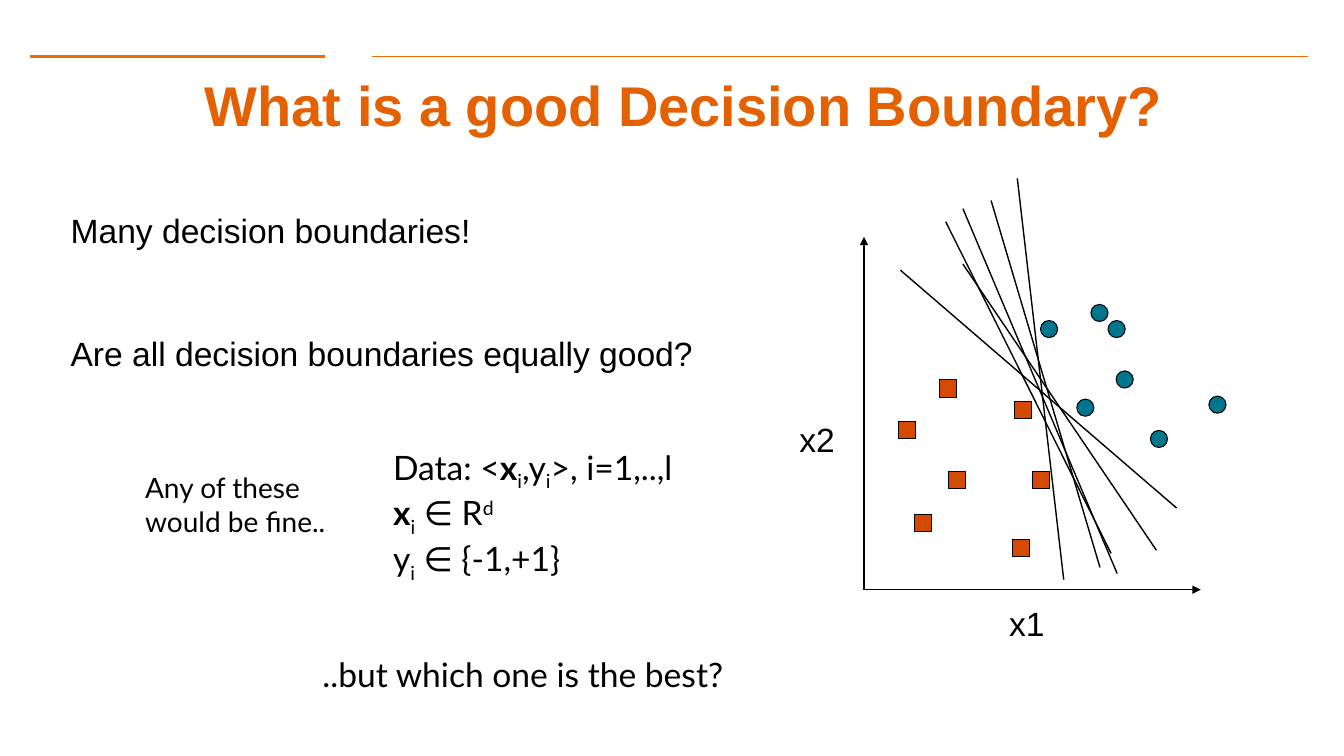
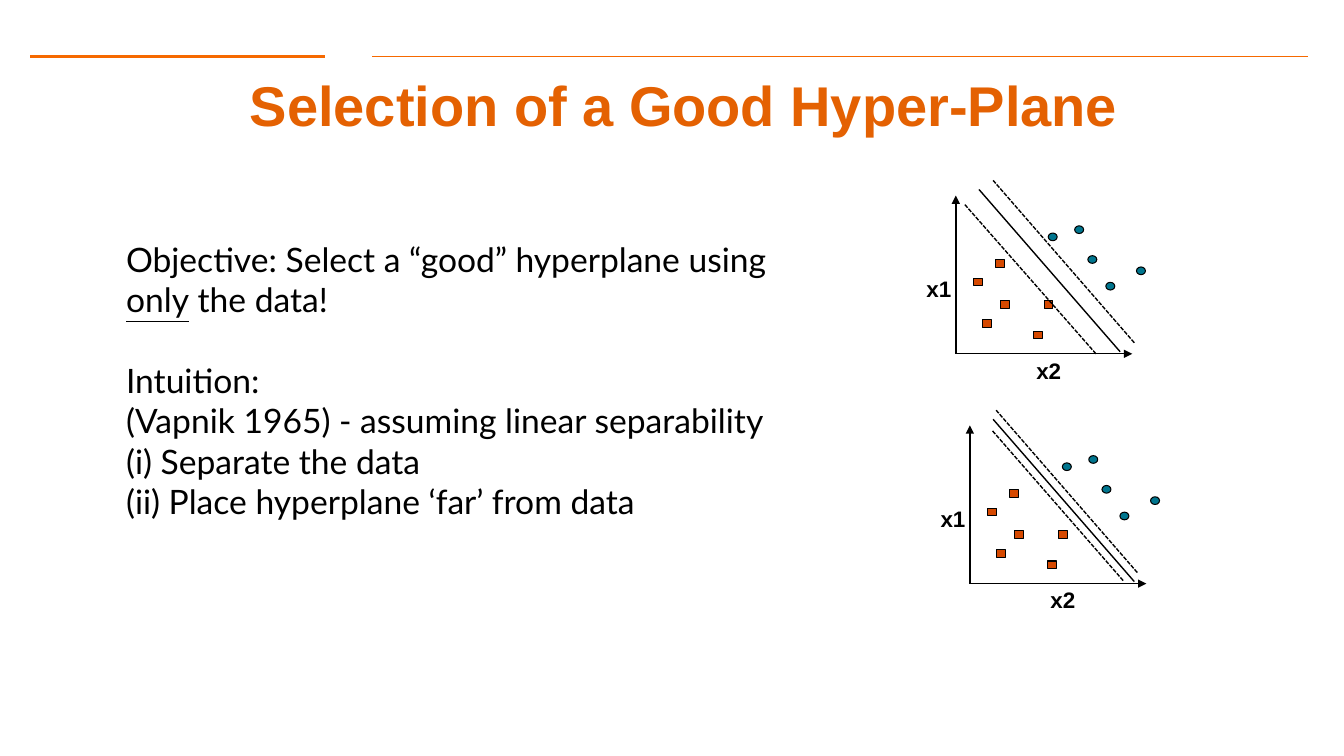
from lxml.etree import SubElement
from pptx import Presentation
from pptx.dml.color import RGBColor
from pptx.enum.dml import MSO_LINE
from pptx.enum.shapes import MSO_CONNECTOR, MSO_SHAPE
from pptx.enum.text import MSO_ANCHOR, MSO_AUTO_SIZE, PP_ALIGN
from pptx.oxml.ns import qn
from pptx.util import Inches, Pt

BLACK = "000000"
TITLE_ORANGE = "E46102"
BAND_ORANGE = "F66900"
CIRCLE_TEAL = "00758E"
SQUARE_RED = "D64900"

SAMPLE_AXES = (3.34, 3.5)
MARKER_SIZE = 0.17
CIRCLES = [(3.42, 1.58), (2.84, 1.92), (2.5, 1.33), (2.25, 0.67), (1.75, 0.83)]
SQUARES = [(0.34, 1.83), (1.67, 2.33), (1.47, 3), (0.84, 2.33), (0.5, 2.75), (0.75, 1.42)]
EXTRA_CIRCLES = [(2.42, 0.83), (2.11, 1.61)]
EXTRA_SQUARES = [(1.49, 1.63)]

BOLD = {"bold": True}
SUB = {"baseline": -25}
SUPER = {"baseline": 30}


def rgb(code):
    return RGBColor.from_string(code)


def place(shape, box):
    shape.left, shape.top, shape.width, shape.height = map(Inches, box)


def write(frame, paragraphs, size=24, font="Lato", color=BLACK, bold=False,
          align=PP_ALIGN.LEFT, anchor=MSO_ANCHOR.TOP, inset=None, gaps=None):
    frame.word_wrap = True
    frame.auto_size = MSO_AUTO_SIZE.NONE
    frame.vertical_anchor = anchor
    if inset is not None:
        frame.margin_left = frame.margin_right = Inches(inset)
        frame.margin_top = frame.margin_bottom = Inches(inset)
    for index, runs in enumerate(paragraphs):
        paragraph = frame.add_paragraph() if index else frame.paragraphs[0]
        paragraph.alignment = align
        paragraph.space_before = Pt((gaps or {}).get(index, 0))
        properties = paragraph._p.get_or_add_pPr()
        properties.set("marL", "0")
        properties.set("indent", "0")
        SubElement(properties, qn("a:buNone"))
        for part in [runs] if isinstance(runs, str) else runs:
            words, style = (part, {}) if isinstance(part, str) else part
            run = paragraph.add_run()
            run.text = words
            run.font.name = font
            run.font.size = Pt(size)
            run.font.color.rgb = rgb(color)
            run.font.bold = style.get("bold", bold)
            if "underline" in style:
                run.font.underline = style["underline"]
            if "baseline" in style:
                run._r.get_or_add_rPr().set("baseline", str(style["baseline"] * 1000))


def add_note(slide, box, paragraphs, **style):
    note = slide.shapes.add_textbox(*map(Inches, box))
    write(note.text_frame, paragraphs, **style)


def add_line(slide, start, end, color=BLACK, width=1, dashed=False, arrow=False):
    line = slide.shapes.add_connector(MSO_CONNECTOR.STRAIGHT, *map(Inches, (*start, *end)))
    line.line.color.rgb = rgb(color)
    line.line.width = Pt(width)
    if dashed:
        line.line.dash_style = MSO_LINE.SQUARE_DOT
    if arrow:
        SubElement(line.line._get_or_add_ln(), qn("a:tailEnd"), type="triangle")
    SubElement(line.element.spPr, qn("a:effectLst"))
    return line


def add_marker(slide, kind, box, color):
    marker = slide.shapes.add_shape(kind, *map(Inches, box))
    marker.shadow.inherit = False
    marker.fill.solid()
    marker.fill.fore_color.rgb = rgb(color)
    marker.line.color.rgb = rgb(BLACK)
    marker.line.width = Pt(0.75)


def add_plot(slide, box, circles, squares, boundaries, labels, label_box, **label_style):
    left, top, width, height = box
    origin = (left, top + height)
    add_line(slide, origin, (left, top), arrow=True)
    add_line(slide, origin, (left + width, top + height), arrow=True)
    x_scale, y_scale = width / SAMPLE_AXES[0], height / SAMPLE_AXES[1]
    for kind, color, points in ((MSO_SHAPE.OVAL, CIRCLE_TEAL, circles),
                                (MSO_SHAPE.RECTANGLE, SQUARE_RED, squares)):
        for x, y in points:
            add_marker(slide, kind, (left + x * x_scale, top + y * y_scale,
                                     MARKER_SIZE * x_scale, MARKER_SIZE * y_scale), color)
    for x1, y1, x2, y2, dashed in boundaries:
        add_line(slide, (left + x1, top + y1), (left + x2, top + y2), dashed=dashed)
    for name, x, y in labels:
        add_note(slide, (left + x, top + y, *label_box), [name], font="Arial", **label_style)


def add_bands(layout, slide):
    for start, end, width in ((0.3, 3.22, 2), (3.69, 12.97, 1)):
        band = add_line(slide, (start, 0.56), (end, 0.56), BAND_ORANGE, width)
        layout.shapes.element.append(band.element)


def new_slide(deck, layout, title):
    slide = deck.slides.add_slide(layout)
    heading = slide.shapes.title
    place(heading, (0.78, 0.76, 12, 0.55))
    write(heading.text_frame, [title], size=40, font="Arial", color=TITLE_ORANGE, bold=True,
          align=PP_ALIGN.CENTER, anchor=MSO_ANCHOR.MIDDLE, inset=0.13)
    return slide


def add_body(slide, box, paragraphs, **style):
    body = slide.placeholders[1]
    place(body, box)
    write(body.text_frame, paragraphs, **style)


def build_boundary_slide(deck, layout):
    slide = new_slide(deck, layout, "What is a good Decision Boundary?")
    add_body(slide, (0.57, 1.95, 7.69, 1.92),
             ["Many decision boundaries!", "Are all decision boundaries equally good?"],
             font="Arial", inset=0.13, gaps={1: 59})
    boundaries = [(3.1, 2.69, 0.36, 0.33, False), (1.98, 3.4, 1.52, -0.58, False),
                  (2.51, 3.34, 0.98, -0.28, False), (2.45, 3.14, 0.81, -0.15, False),
                  (2.9, 3.11, 0.98, 0.27, False), (2.34, 3.28, 1.26, -0.36, False)]
    add_plot(slide, (8.57, 2.35, *SAMPLE_AXES), CIRCLES + EXTRA_CIRCLES,
             SQUARES + EXTRA_SQUARES, boundaries,
             [("x2", -0.74, 1.76), ("x1", 1.34, 3.58)], (0.66, 0.5))
    add_note(slide, (1.34, 4.62, 2.51, 0.77), ["Any of these would be fine.."], size=20)
    add_note(slide, (3.8, 4.38, 3.35, 1.78), [
        ["Data: <", ("x", BOLD), ("i", SUB), ",y", ("i", SUB), ">, i=1,..,l"],
        [("x", BOLD), ("i", SUB), " ∈ R", ("d", SUPER)],
        ["y", ("i", SUB), " ∈ {-1,+1}"],
    ])
    add_note(slide, (3.1, 6.44, 4.31, 0.91), ["..but which one is the best?"])
    return slide


def build_selection_slide(deck, layout):
    slide = new_slide(deck, layout, "Selection of a Good Hyper-Plane")
    add_body(slide, (1.15, 2.32, 7.08, 2.93), [
        "Objective: Select a “good” hyperplane using",
        [("only", {"underline": True}), " the data!"],
        "Intuition:",
        "(Vapnik 1965) - assuming linear separability",
        "(i) Separate the data",
        "(ii) Place hyperplane ‘far’ from data",
    ], gaps={2: 28.8})
    hyperplane = (1.63, 1.55, 0.23, -0.06, False)
    wide_margin = [(1.77, 1.46, 0.37, -0.15, True), (1.39, 1.57, 0.09, 0.09, True)]
    narrow_margin = [(1.66, 1.46, 0.26, -0.15, True), (1.52, 1.54, 0.22, 0.05, True)]
    for left, top, margin in ((9.48, 1.94, wide_margin), (9.62, 4.22, narrow_margin)):
        add_plot(slide, (left, top, 1.75, 1.57), CIRCLES, SQUARES, [hyperplane, *margin],
                 [("x1", -0.39, 0.74), ("x2", 0.7, 1.55)], (0.49, 0.37), size=16, bold=True)


def main():
    deck = Presentation()
    deck.slide_width, deck.slide_height = Inches(13.33), Inches(7.5)
    layout = deck.slide_layouts[1]
    boundary_slide = build_boundary_slide(deck, layout)
    add_bands(layout, boundary_slide)
    build_selection_slide(deck, layout)
    deck.save("out.pptx")


if __name__ == "__main__":
    main()
